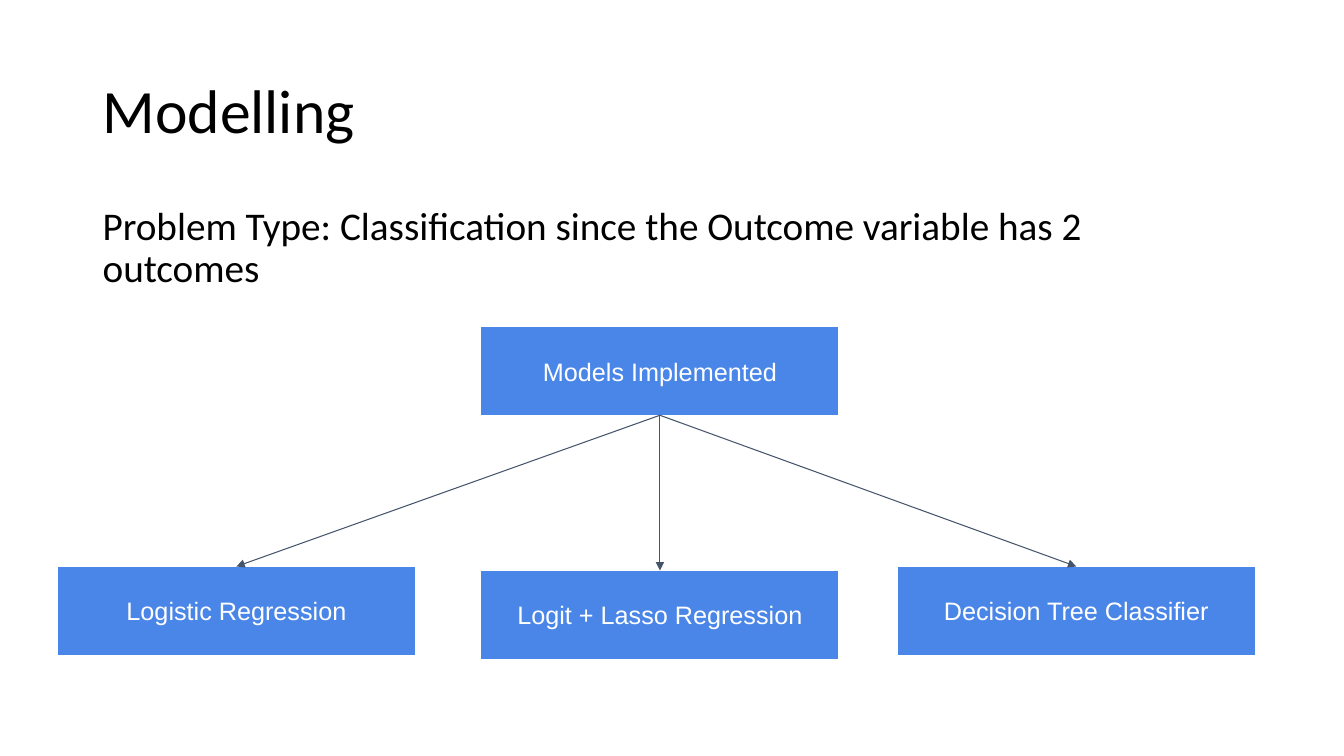
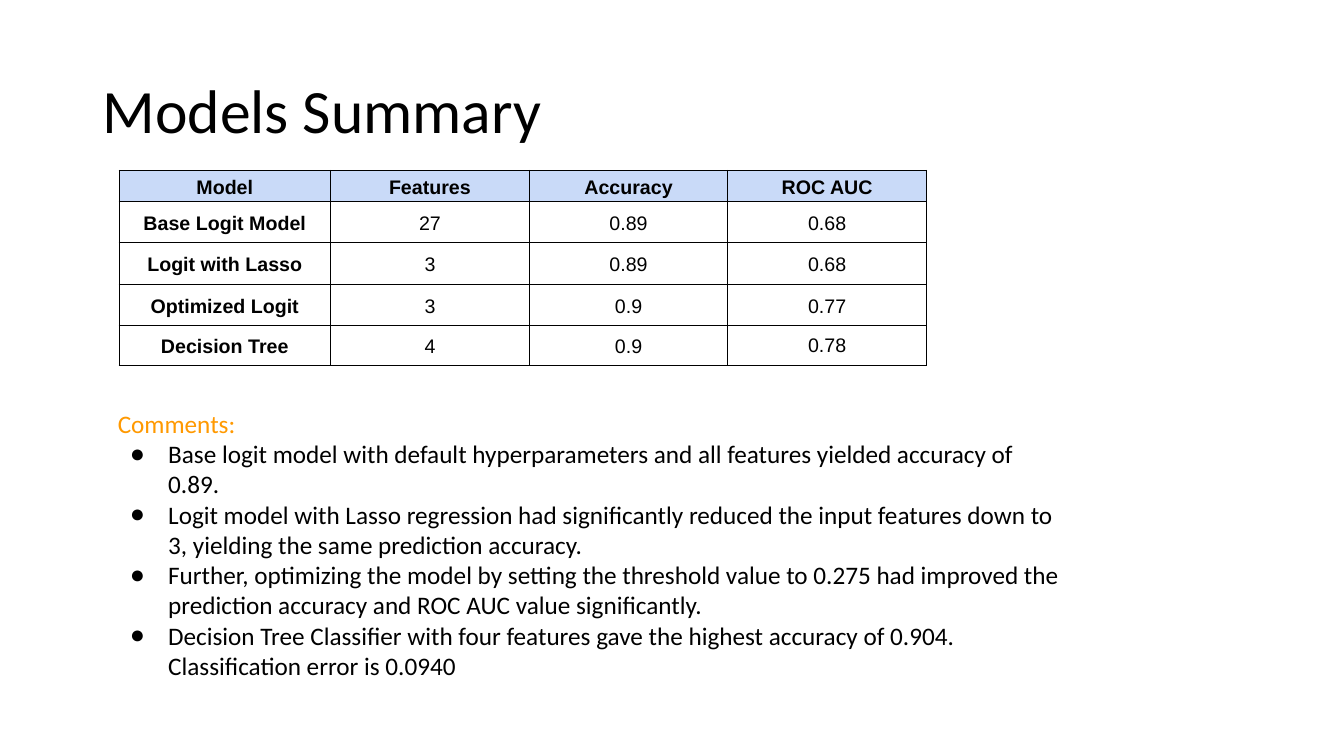
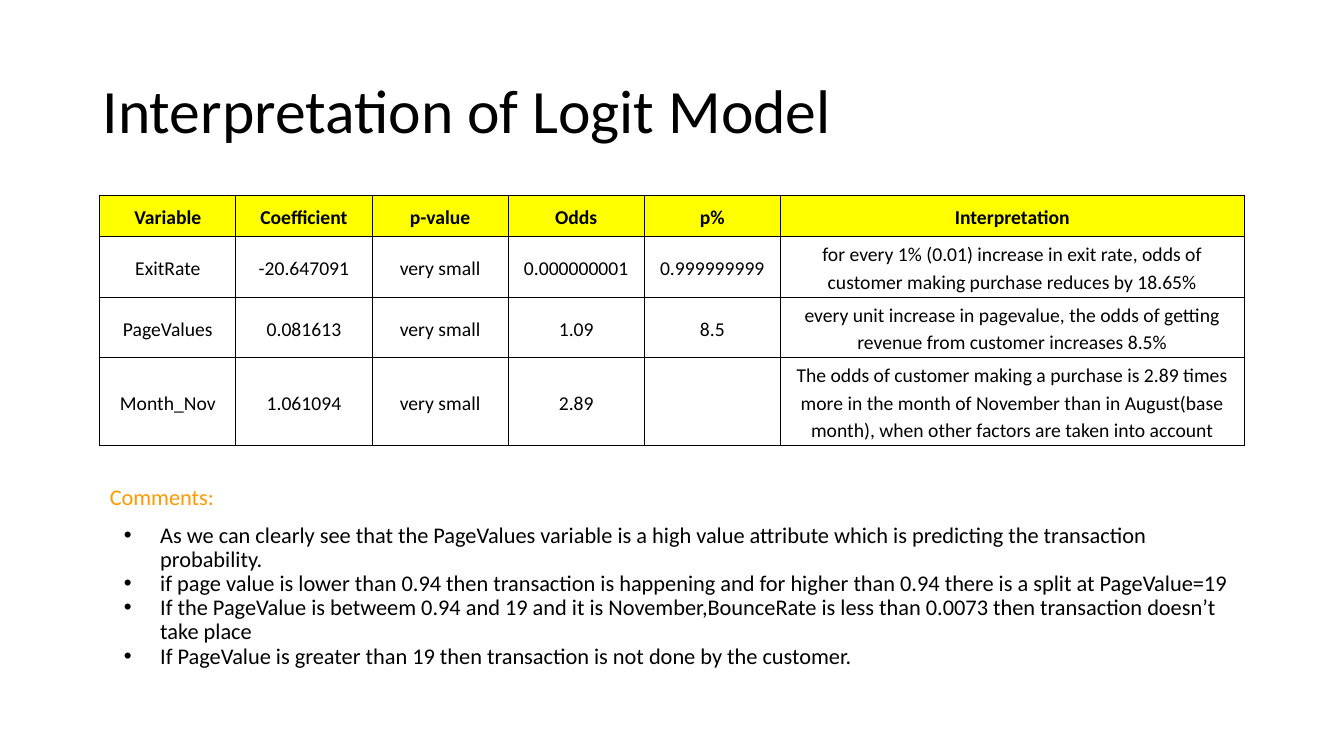
from dataclasses import dataclass

from lxml.etree import SubElement
from pptx import Presentation
from pptx.dml.color import RGBColor
from pptx.enum.shapes import MSO_CONNECTOR, MSO_SHAPE
from pptx.enum.text import MSO_ANCHOR, PP_ALIGN
from pptx.oxml import parse_xml
from pptx.oxml.ns import nsdecls, qn
from pptx.util import Inches, Pt


@dataclass(frozen=True)
class Theme:
    """Colours, fonts and type sizes shared by the slides."""

    ink: str = "000000"
    paper: str = "FFFFFF"
    accent: str = "FF9900"
    node: str = "4A86E8"
    arrow: str = "44546A"
    summary_head: str = "C9DAF8"
    logit_head: str = "FFFF00"
    text_font: str = "Calibri"
    data_font: str = "Arial"
    title_size: int = 44
    lead_size: int = 28
    node_size: int = 18
    summary_size: int = 18
    logit_size: int = 16
    table_size: int = 14
    rule: float = 0.75
    tight: float = 0.9
    loose: float = 1.15


THEME = Theme()


def assign(target, values):
    """Set each attribute of the target from a dict of format values."""
    for name, value in values.items():
        setattr(target, name, value)


def margins(horizontal, vertical):
    """Return margin values for a text frame or a table cell."""
    return {
        "margin_left": Inches(horizontal),
        "margin_right": Inches(horizontal),
        "margin_top": Inches(vertical),
        "margin_bottom": Inches(vertical),
    }


def write(paragraph, text, size, color=THEME.ink, font=THEME.text_font, bold=False, **layout):
    """Put one formatted run in a paragraph."""
    run = paragraph.add_run()
    run.text = text
    assign(run.font, {"size": Pt(size), "name": font, "bold": bold})
    run.font.color.rgb = RGBColor.from_string(color)
    assign(paragraph, layout)


def add_bullet(paragraph, symbol, hang):
    """Give a paragraph a hanging bullet."""
    properties = paragraph._p.get_or_add_pPr()
    properties.set("marL", str(Inches(0.5)))
    properties.set("indent", str(-Inches(hang)))
    bullet_color = SubElement(properties, qn("a:buClr"))
    SubElement(bullet_color, qn("a:srgbClr"), val=THEME.ink)
    SubElement(properties, qn("a:buFont"), typeface=THEME.data_font)
    SubElement(properties, qn("a:buChar"), char=symbol)


def add_text_area(slide, box, padding=0.05, anchor=MSO_ANCHOR.TOP):
    """Add a wrapping text box and return its frame."""
    frame = slide.shapes.add_textbox(*map(Inches, box)).text_frame
    assign(frame, {"word_wrap": True, "vertical_anchor": anchor, **margins(0.1, padding)})
    return frame


def add_titled_slide(deck, title):
    """Add a blank slide with the shared title."""
    slide = deck.slides.add_slide(deck.slide_layouts[6])
    frame = add_text_area(slide, (0.92, 0.4, 11.5, 1.45), anchor=MSO_ANCHOR.MIDDLE)
    write(frame.paragraphs[0], title, THEME.title_size, line_spacing=THEME.tight)
    return slide


def add_comments(slide, box, remarks, size, symbol, hang, padding, spacing=1.0, lead=0):
    """Add a comments heading with bulleted remarks."""
    frame = add_text_area(slide, box, padding)
    write(frame.paragraphs[0], "Comments:", size, THEME.accent,
          line_spacing=spacing, space_before=Pt(lead))
    for index, remark in enumerate(remarks):
        paragraph = frame.add_paragraph()
        write(paragraph, remark, size, line_spacing=spacing,
              space_before=Pt(0 if index else lead))
        add_bullet(paragraph, symbol, hang)


def add_node(slide, label, left, top):
    """Add one labelled box of the model tree."""
    node = slide.shapes.add_shape(
        MSO_SHAPE.RECTANGLE, *map(Inches, (left, top, 3.55, 0.88)))
    node.shadow.inherit = False
    node.fill.solid()
    node.fill.fore_color.rgb = RGBColor.from_string(THEME.node)
    node.line.color.rgb = RGBColor.from_string(THEME.paper)
    node.line.width = Pt(THEME.rule)
    assign(node.text_frame, {
        "word_wrap": True, "vertical_anchor": MSO_ANCHOR.MIDDLE, **margins(0.1, 0.1)})
    write(node.text_frame.paragraphs[0], label, THEME.node_size, THEME.paper,
          THEME.data_font, alignment=PP_ALIGN.CENTER)
    return node


def add_arrow(slide, parent, child):
    """Join the bottom of the parent to the top of the child."""
    arrow = slide.shapes.add_connector(MSO_CONNECTOR.STRAIGHT, 0, 0, 0, 0)
    arrow.begin_connect(parent, 2)
    arrow.end_connect(child, 0)
    arrow.line.color.rgb = RGBColor.from_string(THEME.arrow)
    arrow.line.width = Pt(THEME.rule)
    SubElement(arrow.line._get_or_add_ln(), qn("a:tailEnd"), type="triangle")
    SubElement(arrow._element.spPr, qn("a:effectLst"))


def add_borders(cell):
    """Draw a thin rule on all four sides of a cell."""
    properties = cell._tc.get_or_add_tcPr()
    for side in ("lnL", "lnR", "lnT", "lnB"):
        properties.append(parse_xml(
            f'<a:{side} {nsdecls("a")} w="{Pt(THEME.rule)}"><a:solidFill>'
            f'<a:srgbClr val="{THEME.ink}"/></a:solidFill></a:{side}>'))


def add_grid(slide, left, top, widths, heights, rows, head_fill, font, bold_labels=False):
    """Add a ruled table with a coloured heading row."""
    table = slide.shapes.add_table(
        len(rows), len(widths),
        *map(Inches, (left, top, sum(widths), sum(heights)))).table
    assign(table, {"first_row": False, "horz_banding": False})
    for column, width in zip(table.columns, widths):
        column.width = Inches(width)
    for row, height in zip(table.rows, heights):
        row.height = Inches(height)
    for r, values in enumerate(rows):
        for c, value in enumerate(values):
            cell = table.cell(r, c)
            assign(cell, {"vertical_anchor": MSO_ANCHOR.MIDDLE, **margins(0.03, 0.02)})
            add_borders(cell)
            if r == 0:
                cell.fill.solid()
                cell.fill.fore_color.rgb = RGBColor.from_string(head_fill)
            else:
                cell.fill.background()
            if value:
                write(cell.text_frame.paragraphs[0], value, THEME.table_size, font=font,
                      bold=r == 0 or (bold_labels and c == 0),
                      alignment=PP_ALIGN.CENTER, line_spacing=THEME.loose)
    return table


def build_modelling(deck):
    """Build the tree of implemented models."""
    slide = add_titled_slide(deck, "Modelling")
    problem = add_text_area(slide, (0.92, 2, 11.5, 1.1))
    write(problem.paragraphs[0],
          "Problem Type: Classification since the Outcome variable has 2 outcomes",
          THEME.lead_size, line_spacing=THEME.tight, space_before=Pt(10))
    root = add_node(slide, "Models Implemented", 4.77, 3.24)
    models = (
        ("Logistic Regression", 0.57, 5.62),
        ("Logit + Lasso Regression", 4.77, 5.66),
        ("Decision Tree Classifier", 8.9, 5.62),
    )
    for model in models:
        add_arrow(slide, root, add_node(slide, *model))


def build_summary(deck):
    """Build the comparison of the models."""
    slide = add_titled_slide(deck, "Models Summary")
    scores = (
        ("Model", "Features", "Accuracy", "ROC AUC"),
        ("Base Logit Model", "27", "0.89", "0.68"),
        ("Logit with Lasso", "3", "0.89", "0.68"),
        ("Optimized Logit", "3", "0.9", "0.77"),
        ("Decision Tree", "4", "0.9", "0.78"),
    )
    table = add_grid(slide, 1.18, 1.69, [2.1] + [1.97] * 3, [0.26] + [0.41] * 3 + [0.4],
                     scores, THEME.summary_head, THEME.data_font, bold_labels=True)
    table.cell(4, 3).text_frame.paragraphs[0].line_spacing = 1.0
    remarks = (
        "Base logit model with default hyperparameters and all features yielded "
        "accuracy of 0.89.",
        "Logit model with Lasso regression had significantly reduced the input "
        "features down to 3, yielding the same prediction accuracy.",
        "Further, optimizing the model by setting the threshold value to 0.275 had "
        "improved the prediction accuracy and ROC AUC value significantly.",
        "Decision Tree Classifier with four features gave the highest accuracy of "
        "0.904. Classification error is 0.0940",
    )
    add_comments(slide, (1.07, 3.95, 9.63, 2.67), remarks, THEME.summary_size,
                 "●", hang=0.38, padding=0.1)


def build_interpretation(deck):
    """Build the reading of the logit coefficients."""
    slide = add_titled_slide(deck, "Interpretation of Logit Model")
    coefficients = (
        ("Variable", "Coefficient", "p-value", "Odds", "p%", "Interpretation"),
        ("ExitRate", "-20.647091", "very small", "0.000000001", "0.999999999",
         "for every 1% (0.01) increase in exit rate, odds of customer making "
         "purchase reduces by 18.65%"),
        ("PageValues", "0.081613", "very small", "1.09", "8.5",
         "every unit increase in pagevalue, the odds of getting revenue from "
         "customer increases 8.5%"),
        ("Month_Nov", "1.061094", "very small", "2.89", "",
         "The odds of customer making a purchase is 2.89 times more in the month of "
         "November than in August(base month), when other factors are taken into account"),
    )
    add_grid(slide, 0.99, 1.94, [1.35] * 5 + [4.6], [0.41, 0.6, 0.6, 0.87],
             coefficients, THEME.logit_head, THEME.text_font)
    remarks = (
        "As we can clearly see that the PageValues variable is a high value attribute "
        "which is predicting the transaction probability.",
        "if page value is lower than 0.94 then transaction is happening and for higher "
        "than 0.94 there is a split at PageValue=19",
        "If the PageValue is betweem 0.94 and 19 and it is November,BounceRate is less "
        "than 0.0073 then transaction doesn’t take place",
        "If PageValue is greater than 19 then transaction is not done by the customer.",
    )
    add_comments(slide, (0.99, 4.77, 11.35, 2.06), remarks, THEME.logit_size,
                 "•", hang=0.36, padding=0.05, spacing=THEME.tight, lead=10)


def main():
    """Build and save the deck."""
    deck = Presentation()
    assign(deck, {"slide_width": Inches(13.33), "slide_height": Inches(7.5)})
    for build in (build_modelling, build_summary, build_interpretation):
        build(deck)
    deck.save("out.pptx")


if __name__ == "__main__":
    main()
